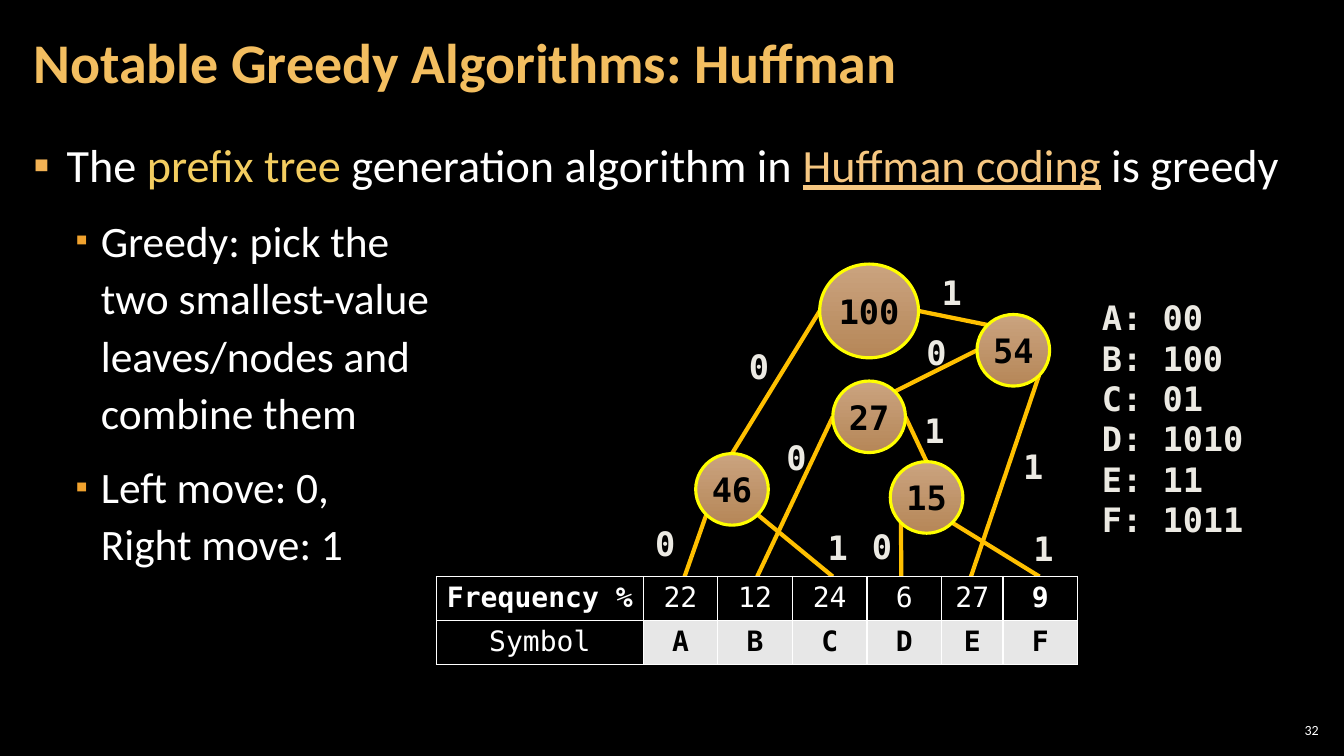
from math import sqrt

from lxml.etree import SubElement
from pptx import Presentation
from pptx.dml.color import RGBColor
from pptx.enum.shapes import MSO_CONNECTOR, MSO_SHAPE
from pptx.enum.text import MSO_ANCHOR, MSO_AUTO_SIZE, PP_ALIGN
from pptx.oxml import parse_xml
from pptx.oxml.ns import nsdecls, qn
from pptx.util import Inches, Pt

SANS = "Calibri"
MONO = "DejaVu Sans Mono"
BLACK = RGBColor(0x00, 0x00, 0x00)
WHITE = RGBColor(0xFF, 0xFF, 0xFF)
TITLE_GOLD = RGBColor(0xF3, 0xBE, 0x60)
TERM_YELLOW = RGBColor(0xF3, 0xCD, 0x60)
LINK_PEACH = RGBColor(0xF6, 0xC7, 0x81)
BULLET_GOLD = RGBColor(0xF2, 0xB2, 0x54)
BULLET_ORANGE = RGBColor(0xF0, 0xA2, 0x2E)
EDGE_AMBER = RGBColor(0xFF, 0xC0, 0x00)
NODE_RIM = RGBColor(0xFF, 0xFF, 0x00)
NODE_TOP = RGBColor(0xCA, 0xA3, 0x7F)
NODE_BOTTOM = RGBColor(0xB6, 0x87, 0x58)
LABEL_IVORY = RGBColor(0xEC, 0xEA, 0xE3)
SYMBOL_GRAY = RGBColor(0xE7, 0xE7, 0xE7)

TITLE = "Notable Greedy Algorithms: Huffman"
BULLETS = [
    (0, [("The ", WHITE, False), ("prefix tree ", TERM_YELLOW, False),
         ("generation algorithm in ", WHITE, False),
         ("Huffman coding", LINK_PEACH, True), (" is greedy", WHITE, False)]),
    (1, [("Greedy: pick the\ntwo smallest-value\nleaves/nodes and\ncombine them", WHITE, False)]),
    (1, [("Left move: 0,\nRight move: 1", WHITE, False)]),
]
BULLET_STYLES = [
    {"size": 33, "indent": 0.33, "hanging": 0.33, "color": BULLET_GOLD, "scale": 100},
    {"size": 31, "indent": 0.67, "hanging": 0.25, "color": BULLET_ORANGE, "scale": 80},
]
CODES = ["A: 00", "B: 100", "C: 01", "D: 1010", "E: 11", "F: 1011"]
FREQUENCIES = ["Frequency %", "22", "12", "24", "6", "27", "9"]
SYMBOLS = ["Symbol", "A", "B", "C", "D", "E", "F"]
BOLD_FREQUENCIES = ("Frequency %", "9")
COLUMN_WIDTHS = [2.05, 0.74, 0.74, 0.74, 0.74, 0.61, 0.74]
TABLE_LEFT, TABLE_TOP, ROW_HEIGHT = 4.33, 5.72, 0.435

NODES = {
    "46": (6.9, 4.5, 0.72, 0.71),
    "15": (8.83, 4.58, 0.72, 0.71),
    "27": (8.26, 3.78, 0.72, 0.71),
    "54": (9.69, 3.12, 0.72, 0.71),
    "100": (8.13, 2.62, 0.98, 0.93),
}
LEAVES = {"A": 6.79, "B": 7.51, "C": 8.26, "D": 8.94, "E": 9.63, "F": 10.31}
DIAGONAL = 1 / sqrt(2)
SITES = {
    "top": (0, -1), "left": (-1, 0), "right": (1, 0),
    "top left": (-DIAGONAL, -DIAGONAL), "top right": (DIAGONAL, -DIAGONAL),
    "bottom left": (-DIAGONAL, DIAGONAL), "bottom right": (DIAGONAL, DIAGONAL),
}
EDGES = [
    ("46", "bottom left", "A", None), ("46", "bottom right", "C", None),
    ("15", "bottom left", "D", None), ("15", "bottom right", "F", None),
    ("27", "left", "B", None), ("27", "right", "15", "top"),
    ("54", "left", "27", "top right"), ("54", "bottom right", "E", None),
    ("100", "left", "46", "top"), ("100", "right", "54", "top left"),
]
BRANCH_LABELS = {
    "0": [(7.33, 3.38), (6.4, 5.14), (7.7, 4.29), (8.55, 5.17), (9.09, 3.24)],
    "1": [(9.24, 2.65), (10.05, 4.37), (10.15, 5.19), (8.11, 5.18), (9.07, 4.02)],
}


def write(paragraph, text, size=24, font=MONO, color=LABEL_IVORY, bold=False,
          underline=False, align=None):
    if align is not None:
        paragraph.alignment = align
    for number, line in enumerate(text.split("\n")):
        if number:
            paragraph.add_line_break()
        run = paragraph.add_run()
        run.text = line
        run.font.size = Pt(size)
        run.font.name = font
        run.font.color.rgb = color
        run.font.bold = bold
        run.font.underline = underline


def place(shape, left, top, width, height):
    shape.left, shape.top = Inches(left), Inches(top)
    shape.width, shape.height = Inches(width), Inches(height)


def set_margins(frame, horizontal, vertical):
    frame.margin_left = frame.margin_right = Inches(horizontal)
    frame.margin_top = frame.margin_bottom = Inches(vertical)


def get_paragraph(frame, number):
    return frame.add_paragraph() if number else frame.paragraphs[0]


def add_bullet(paragraph, indent, hanging, color, scale):
    properties = paragraph._p.get_or_add_pPr()
    properties.set("marL", str(Inches(indent)))
    properties.set("indent", str(-Inches(hanging)))
    bullet_color = SubElement(properties, qn("a:buClr"))
    SubElement(bullet_color, qn("a:srgbClr")).set("val", str(color))
    SubElement(properties, qn("a:buSzPct")).set("val", str(scale * 1000))
    SubElement(properties, qn("a:buFont")).set("typeface", SANS)
    SubElement(properties, qn("a:buChar")).set("char", "▪")


def add_label(slide, lines, left, top, width, height):
    frame = slide.shapes.add_textbox(
        Inches(left), Inches(top), Inches(width), Inches(height)).text_frame
    frame.word_wrap = True
    for number, line in enumerate(lines):
        write(get_paragraph(frame, number), line, bold=True)
    return frame


def node_site(name, site):
    if site is None:
        return LEAVES[name], TABLE_TOP
    left, top, width, height = NODES[name]
    across, down = SITES[site]
    return left + width / 2 * (1 + across), top + height / 2 * (1 + down)


def add_edge(slide, start, end):
    edge = slide.shapes.add_connector(
        MSO_CONNECTOR.STRAIGHT, *[Inches(value) for value in (*start, *end)])
    edge.line.color.rgb = EDGE_AMBER
    edge.line.width = Pt(3)
    SubElement(edge._element.spPr, qn("a:effectLst"))


def add_node(slide, value, box):
    node = slide.shapes.add_shape(MSO_SHAPE.OVAL, *[Inches(length) for length in box])
    node.shadow.inherit = False
    node.fill.gradient()
    node.fill.gradient_angle = 270
    for stop, color in zip(node.fill.gradient_stops, (NODE_TOP, NODE_BOTTOM)):
        stop.color.rgb = color
    node.line.color.rgb = NODE_RIM
    node.line.width = Pt(2.25)
    frame = node.text_frame
    set_margins(frame, 0, 0)
    frame.word_wrap = False
    frame.vertical_anchor = MSO_ANCHOR.MIDDLE
    write(frame.paragraphs[0], value, color=BLACK, bold=True, align=PP_ALIGN.CENTER)


def add_frequency_table(slide):
    table_frame = slide.shapes.add_table(
        2, len(SYMBOLS), Inches(TABLE_LEFT), Inches(TABLE_TOP),
        Inches(sum(COLUMN_WIDTHS)), Inches(2 * ROW_HEIGHT))
    table = table_frame.table
    for column, width in zip(table.columns, COLUMN_WIDTHS):
        column.width = Inches(width)
    for row, values in enumerate((FREQUENCIES, SYMBOLS)):
        table.rows[row].height = Inches(ROW_HEIGHT)
        for column, value in enumerate(values):
            is_symbol = row == 1 and column > 0
            cell = table.cell(row, column)
            set_margins(cell, 0.05, 0.05)
            cell.fill.solid()
            cell.fill.fore_color.rgb = SYMBOL_GRAY if is_symbol else BLACK
            write(cell.text_frame.paragraphs[0], value, size=20,
                  color=BLACK if is_symbol else WHITE,
                  bold=is_symbol or value in BOLD_FREQUENCIES, align=PP_ALIGN.CENTER)
            for position, side in enumerate("LRTB"):
                border = parse_xml(
                    f'<a:ln{side} {nsdecls("a")} w="{Pt(1)}"><a:solidFill>'
                    f'<a:srgbClr val="{WHITE}"/></a:solidFill></a:ln{side}>')
                cell._tc.get_or_add_tcPr().insert(position, border)


def main():
    presentation = Presentation()
    presentation.slide_width, presentation.slide_height = Inches(13.33), Inches(7.5)
    slide = presentation.slides.add_slide(presentation.slide_layouts[1])
    slide.background.fill.solid()
    slide.background.fill.fore_color.rgb = BLACK
    title, body = slide.shapes.title, slide.placeholders[1]
    place(title, 0.21, 0.04, 10.47, 1.21)
    place(body, 0.21, 1.26, 12.91, 6.09)
    for placeholder in (title, body):
        set_margins(placeholder.text_frame, 0.12, 0.04)
        placeholder.text_frame.auto_size = MSO_AUTO_SIZE.NONE
    title.text_frame.vertical_anchor = MSO_ANCHOR.MIDDLE
    title.text_frame.paragraphs[0].line_spacing = 0.9
    write(title.text_frame.paragraphs[0], TITLE, size=40, font=SANS,
          color=TITLE_GOLD, bold=True, align=PP_ALIGN.LEFT)
    for number, (level, pieces) in enumerate(BULLETS):
        paragraph = get_paragraph(body.text_frame, number)
        style = BULLET_STYLES[level]
        add_bullet(paragraph, style["indent"], style["hanging"], style["color"], style["scale"])
        paragraph.level = level
        paragraph.line_spacing = 1.1
        paragraph.space_before = Pt(6 if number else 0)
        paragraph.space_after = Pt(6)
        for text, color, underline in pieces:
            write(paragraph, text, size=style["size"], font=SANS, color=color, underline=underline)
    for parent, parent_site, child, child_site in EDGES:
        add_edge(slide, node_site(child, child_site), node_site(parent, parent_site))
    for digit, corners in BRANCH_LABELS.items():
        for left, top in corners:
            add_label(slide, [digit], left, top, 0.39, 0.5)
    add_label(slide, CODES, 10.83, 2.9, 1.82, 2.52)
    add_frequency_table(slide)
    number_frame = add_label(slide, [], 12.65, 7.14, 0.47, 0.21)
    set_margins(number_frame, 0.04, 0.04)
    number_frame.vertical_anchor = MSO_ANCHOR.MIDDLE
    write(number_frame.paragraphs[0], "32", size=10, font=SANS, color=WHITE, align=PP_ALIGN.RIGHT)
    for value, box in NODES.items():
        add_node(slide, value, box)
    presentation.save("out.pptx")


if __name__ == "__main__":
    main()
